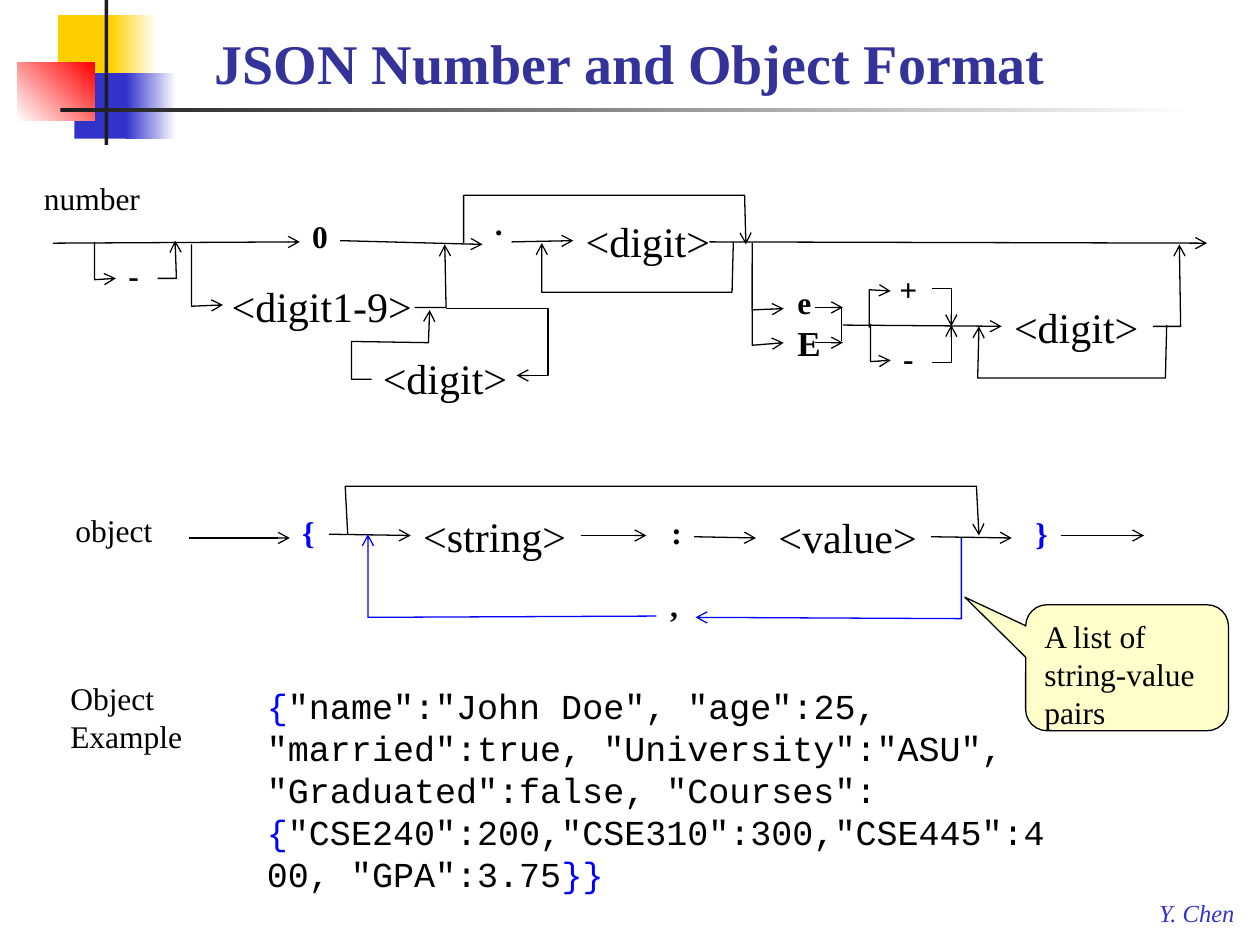
import pptx
import pptx.util
from lxml import etree
from pptx.dml.color import RGBColor
from pptx.enum.shapes import MSO_CONNECTOR, MSO_SHAPE
from pptx.enum.text import MSO_ANCHOR, MSO_AUTO_SIZE, PP_ALIGN
from pptx.oxml.ns import qn

Inches, Pt = pptx.util.Inches, pptx.util.Pt

C = {"black": "000000", "blue": "0000FF", "navy": "3333CC", "title": "333399",
     "yellow": "FFCF01", "red": "FF0000", "white": "FFFFFF", "dark": "1C1C1C",
     "note": "FFFFCC"}
SERIF, MONO = "Times New Roman", "Courier New"
LEFT, RIGHT = 1, 3  # connection sites

# left, top, width, height, colours (two make a gradient), angle
DECOR = [
    (0.46, 0.12, 0.48, 0.52, ["yellow"], 0),
    (0.88, 0.12, 0.36, 0.52, ["yellow", "white"], 0),
    (0.59, 0.58, 0.46, 0.52, ["navy"], 0),
    (1, 0.58, 0.4, 0.52, ["navy", "white"], 0),
    (0.14, 0.5, 0.61, 0.46, ["white", "red"], 45),
    (0.83, 0, 0.03, 1.15, ["dark"], 0),
    (0.48, 0.86, 9, 0.03, ["dark", "white"], 0),
]

# name, text, left, top, width, height, format
BOLD, BIG = {"bold": True}, {"size": 24}
BRACE = {"bold": True, "color": "blue"}
LABELS = [
    ("number", "number", 0.25, 1.37, 1.04, 0.4, {}),
    ("zero", "0", 2.38, 1.67, 0.37, 0.5, BOLD),
    ("point", ".", 3.83, 1.57, 0.29, 0.5, BOLD),
    ("fraction", "<digit>", 4.55, 1.66, 1.2, 0.5, BIG),
    ("sign", "-", 0.92, 1.98, 0.31, 0.5, BOLD),
    ("first digit", "<digit1-9>", 1.74, 2.18, 1.64, 0.5, BIG),
    ("more digits", "<digit>", 2.94, 2.75, 1.2, 0.5, BIG),
    ("plus", "+", 7.04, 2.09, 0.39, 0.5, BOLD),
    ("minus", "-", 7.07, 2.64, 0.31, 0.5, BOLD),
    ("exponent", "<digit>", 7.95, 2.34, 1.2, 0.5, BIG),
    ("object", "object", 0.5, 4.01, 0.88, 0.4, {}),
    ("open", "{", 2.3, 4.02, 0.3, 0.4, BRACE),
    ("string", "<string>", 3.26, 4, 1.35, 0.5, BIG),
    ("colon", ":", 5.23, 4.02, 0.29, 0.4, BOLD),
    ("value", "<value>", 6.08, 4.01, 1.31, 0.5, BIG),
    ("close", "}", 8.12, 4.03, 0.3, 0.4, BRACE),
    ("comma", ",", 5.22, 4.6, 0.27, 0.4, BOLD),
]

# from, to, label joined at the start, label joined at the end
ARROWS = [
    ((0.42, 1.93), (2.38, 1.92), None, "zero"),
    ((2.7, 1.91), (3.83, 1.94), None, None),
    ((4.06, 1.92), (4.54, 1.92), None, "fraction"),
    ((5.63, 1.92), (9.58, 1.93), None, None),
    ((6.69, 2.58), (7.94, 2.58), None, "exponent"),
    ((6.47, 2.44), (6.69, 2.44), None, None),
    ((6.47, 2.72), (6.69, 2.72), None, None),
    ((1.5, 4.27), (2.3, 4.27), None, None),
    ((2.61, 4.24), (3.27, 4.25), None, "string"),
    ((4.6, 4.25), (5.13, 4.25), "string", None),
    ((5.51, 4.26), (6, 4.27), None, None),
    ((7.39, 4.27), (8.03, 4.27), "value", None),
    ((8.42, 4.25), (9.08, 4.25), None, None),
]
EXPONENT_JOIN = ((6.68, 2.44), (6.68, 2.71))

# bent arrows, tail to tip
PATHS = {
    "black": [
        [(5.82, 1.92), (5.81, 2.32), (4.3, 2.32), (4.3, 1.93)],
        [(5.97, 1.93), (5.97, 2.46), (6.22, 2.45)],
        [(5.97, 2.09), (5.97, 2.74), (6.22, 2.72)],
        [(9.15, 2.59), (9.37, 2.59), (9.36, 1.94)],
        [(6.91, 2.57), (6.91, 2.87), (7.07, 2.86)],
        [(7.4, 2.88), (7.55, 2.88), (7.55, 2.58)],
        [(6.9, 2.6), (6.9, 2.3), (7.07, 2.31)],
        [(7.4, 2.29), (7.55, 2.29), (7.55, 2.59)],
        [(9.26, 2.58), (9.25, 3), (7.76, 3), (7.77, 2.59)],
        [(0.75, 1.92), (0.75, 2.22), (0.92, 2.21)],
        [(1.25, 2.21), (1.4, 2.21), (1.39, 1.91)],
        [(1.52, 1.94), (1.52, 2.43), (1.77, 2.42)],
        [(3.29, 2.44), (3.54, 2.44), (3.53, 1.94)],
        [(3.54, 2.45), (4.35, 2.45), (4.35, 2.98), (4.1, 2.98)],
        [(2.95, 3.01), (2.79, 3.01), (2.79, 2.71), (3.4, 2.72), (3.41, 2.46)],
        [(3.68, 1.93), (3.68, 1.55), (5.91, 1.55), (5.92, 1.94)],
        [(2.76, 4.24), (2.74, 3.86), (7.75, 3.86), (7.77, 4.25)],
    ],
    "blue": [
        [(7.63, 4.27), (7.63, 4.91), (5.52, 4.9)],
        [(5.21, 4.89), (2.92, 4.9), (2.92, 4.24)],
    ],
}

EXAMPLE = [
    ("{", "blue"),
    ('"name":"John Doe", "age":25, "married":true, "University":"ASU", '
     '"Graduated":false, "Courses":', "black"),
    ("{", "blue"),
    ('"CSE240":200,"CSE310":300,"CSE445":400, "GPA":3.75', "black"),
    ("}}", "blue"),
]


def rgb(name):
    return RGBColor.from_string(C[name])


def add_run(p, text, size=18, color="black", font=SERIF, bold=False, italic=False):
    r = p.add_run()
    r.text = text
    f = r.font
    f.size, f.name, f.bold, f.italic = Pt(size), font, bold, italic
    f.color.rgb = rgb(color)


def add_text(s, text, x, y, w, h, wrap=False, align=PP_ALIGN.LEFT,
             anchor=MSO_ANCHOR.TOP, **fmt):
    sp = s.shapes.add_textbox(*map(Inches, (x, y, w, h)))
    tf = sp.text_frame
    tf.word_wrap, tf.auto_size, tf.vertical_anchor = wrap, MSO_AUTO_SIZE.NONE, anchor
    tf.paragraphs[0].alignment = align
    if text:
        add_run(tf.paragraphs[0], text, **fmt)
    return sp


def style_line(sp, color="black", arrow=True):
    sp.line.color.rgb = rgb(color)
    sp.line.width = Pt(0.75)
    if arrow:
        etree.SubElement(sp.line._get_or_add_ln(), qn("a:tailEnd"), type="arrow")


def add_line(s, start, end, arrow=True):
    cx = s.shapes.add_connector(MSO_CONNECTOR.STRAIGHT, *map(Inches, start + end))
    style_line(cx, arrow=arrow)
    etree.SubElement(cx._element.spPr, qn("a:effectLst"))
    return cx


def add_path(s, points, color):
    pts = [tuple(map(Inches, pt)) for pt in points]
    fb = s.shapes.build_freeform(*pts[0])
    fb.add_line_segments(pts[1:], close=False)
    sp = fb.convert_to_shape()
    sp.shadow.inherit = False
    sp.fill.background()
    style_line(sp, color)


def add_decor(s, x, y, w, h, colors, angle):
    sp = s.shapes.add_shape(MSO_SHAPE.RECTANGLE, *map(Inches, (x, y, w, h)))
    sp.shadow.inherit = False
    sp.line.fill.background()
    if len(colors) == 1:
        sp.fill.solid()
        sp.fill.fore_color.rgb = rgb(colors[0])
        return
    sp.fill.gradient()
    sp.fill.gradient_angle = angle
    for stop, color in zip(sp.fill.gradient_stops, colors):
        stop.color.rgb = rgb(color)


def add_callout(s, text):
    sp = s.shapes.add_shape(MSO_SHAPE.ROUNDED_RECTANGULAR_CALLOUT,
                            *map(Inches, (8.14, 4.8, 1.61, 1)))
    for i, value in enumerate((-0.8, -0.56, 0.17)):
        sp.adjustments[i] = value
    sp.shadow.inherit = False
    sp.fill.solid()
    sp.fill.fore_color.rgb = rgb("note")
    style_line(sp, arrow=False)
    tf = sp.text_frame
    tf.word_wrap, tf.vertical_anchor = True, MSO_ANCHOR.TOP
    tf.paragraphs[0].alignment = PP_ALIGN.LEFT
    add_run(tf.paragraphs[0], text)


def main():
    prs = pptx.Presentation()
    prs.slide_width, prs.slide_height = Inches(10), Inches(7.5)
    s = prs.slides.add_slide(prs.slide_layouts[6])
    for item in DECOR:
        add_decor(s, *item)
    add_text(s, "Y. Chen", 9.1, 7.08, 0.82, 0.33, size=14, color="navy", italic=True)
    add_text(s, "JSON Number and Object Format", 0.73, 0.17, 8.54, 0.64, wrap=True,
             align=PP_ALIGN.CENTER, anchor=MSO_ANCHOR.BOTTOM,
             size=32, color="title", bold=True)

    labels = {name: add_text(s, *box, **fmt) for name, *box, fmt in LABELS}
    sp = add_text(s, "e", 6.23, 2.2, 0.25, 0.84, wrap=True,
                  align=PP_ALIGN.CENTER, bold=True)
    p = sp.text_frame.add_paragraph()
    p.alignment = PP_ALIGN.CENTER
    add_run(p, "E", size=20, bold=True)

    for start, end, source, target in ARROWS:
        cx = add_line(s, start, end)
        if source:
            cx.begin_connect(labels[source], RIGHT)
        if target:
            cx.end_connect(labels[target], LEFT)
    add_line(s, *EXPONENT_JOIN, arrow=False)
    for color, paths in PATHS.items():
        for points in paths:
            add_path(s, points, color)

    sp = add_text(s, "", 2.02, 5.38, 6.39, 1.78, wrap=True)
    for text, color in EXAMPLE:
        add_run(sp.text_frame.paragraphs[0], text, size=20, color=color, font=MONO)
    add_text(s, "Object Example", 0.46, 5.34, 1.46, 0.91, wrap=True)
    add_callout(s, "A list of string-value pairs")
    prs.save("out.pptx")


if __name__ == "__main__":
    main()
